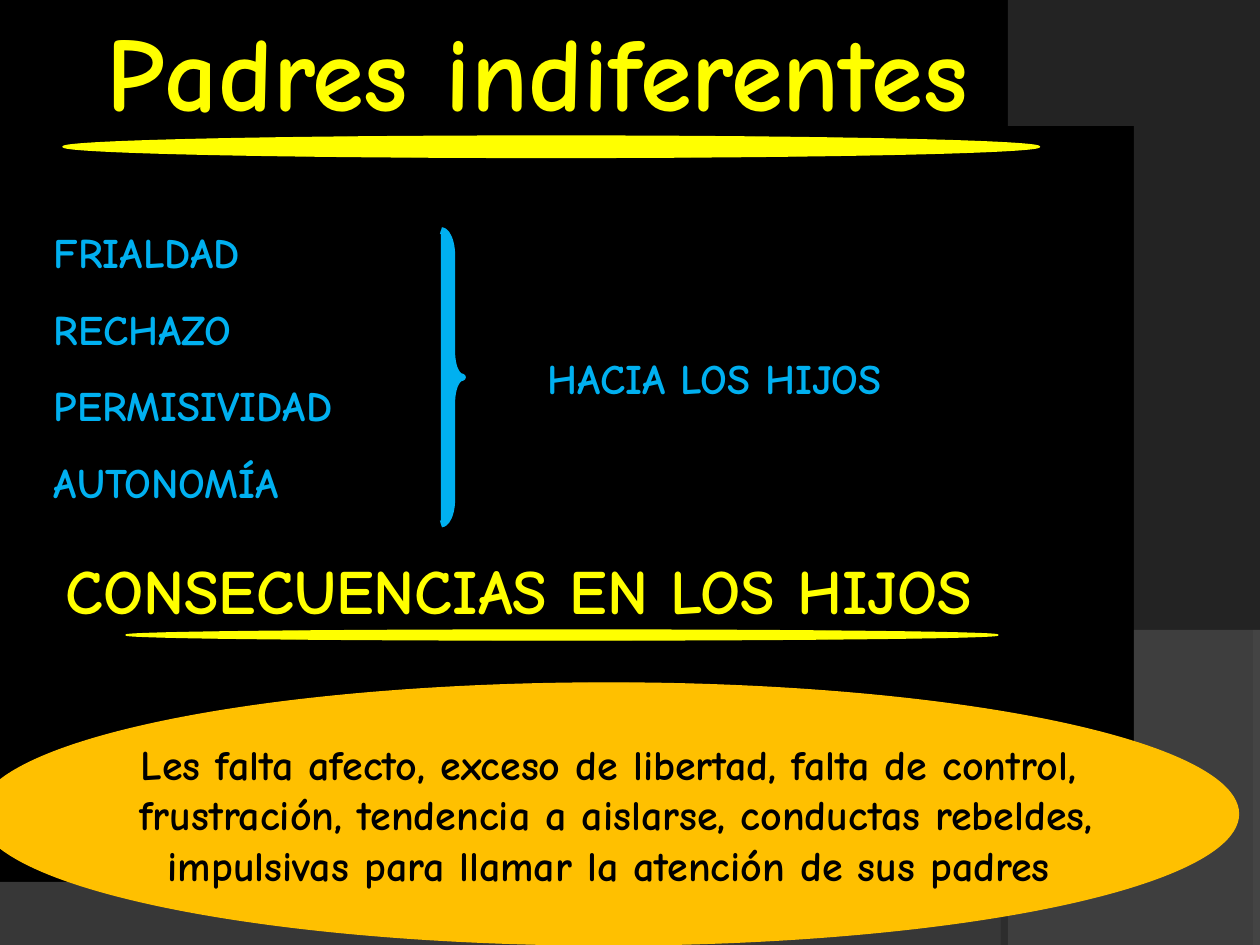
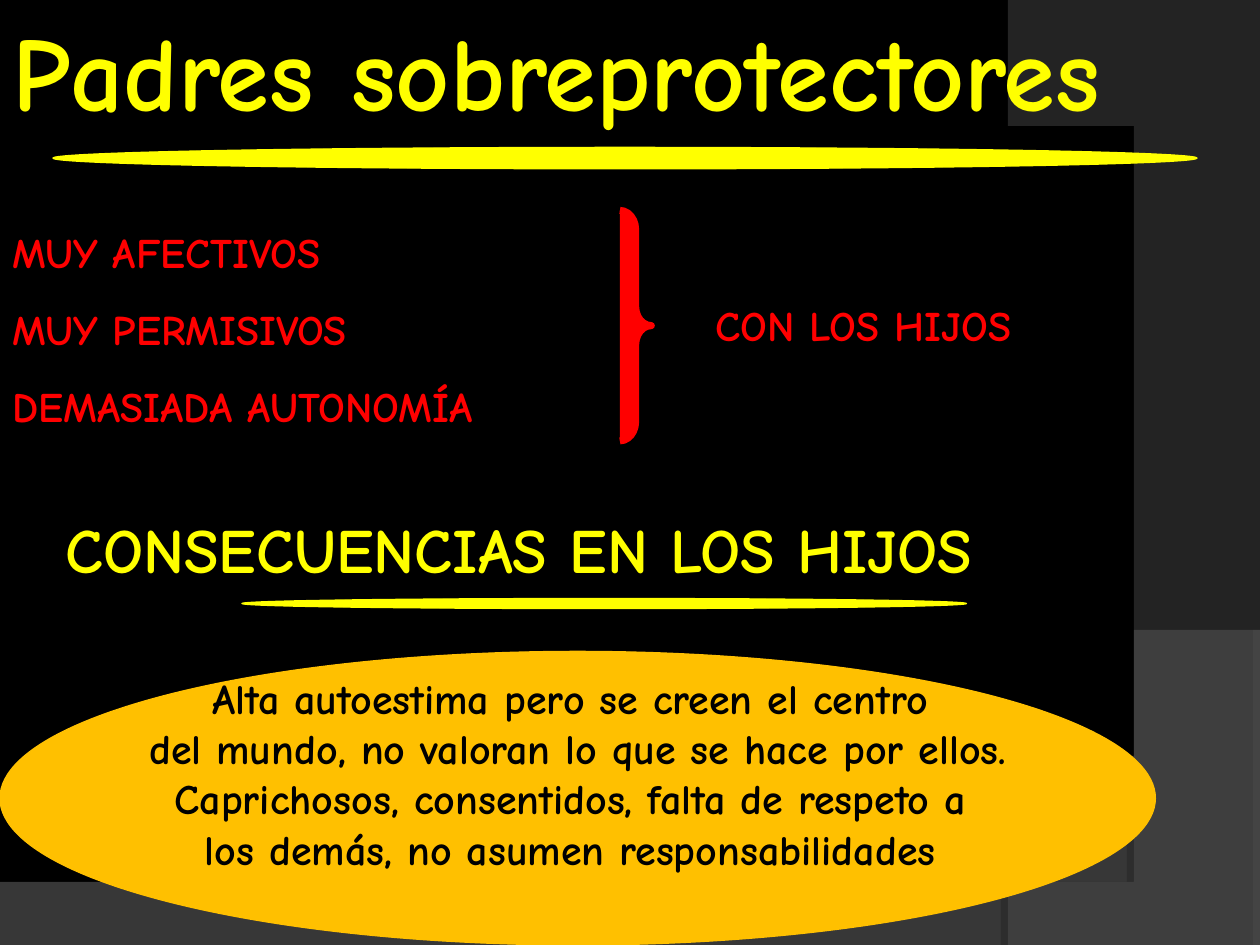
"""Builds two slides on indifferent and overprotective parents."""
from lxml import etree
from pptx import Presentation
from pptx.dml.color import RGBColor
from pptx.enum.shapes import MSO_SHAPE
from pptx.enum.text import MSO_ANCHOR, PP_ALIGN
from pptx.oxml import parse_xml
from pptx.oxml.ns import nsdecls, qn
from pptx.util import Inches, Pt

BLACK = RGBColor(0x00, 0x00, 0x00)
YELLOW = RGBColor(0xFF, 0xFF, 0x00)
AMBER = RGBColor(0xFF, 0xC0, 0x00)
BLUE = RGBColor(0x00, 0xB0, 0xF0)
RED = RGBColor(0xFF, 0x00, 0x00)
GREY = RGBColor(0x7C, 0x7C, 0x7C)
DARK_GREY = RGBColor(0x59, 0x59, 0x59)
FONT = "Comic Neue"
CURVE_STEPS = 60

TOPICS = [
    {
        "title": ("Padres indiferentes", (0.75, 0, 9, 1.1)),
        "title_rule": (0.5, 1.08, 7.75, 0.17),
        "traits": (["FRIALDAD", "RECHAZO", "PERMISIVIDAD", "AUTONOMÍA"], (0.33, 1.75, 8.42, 2.33)),
        "color": BLUE,
        "brace": (3.5, 1.83, 0.17, 2.33),
        "brace_curl": 1.17,
        "target": ("HACIA LOS HIJOS", (4.25, 2.75, 4.83, 0.5)),
        "heading_box": (0.42, 4.33, 9.58, 0.7),
        "heading_rule": (1, 5, 6.92, 0.08),
        "oval": (-0.17, 5.42, 10, 2.08),
        "oval_bottom_inset": 0.05,
        "consequences": [
            "Les falta afecto, exceso de libertad, falta de control,",
            " frustración, tendencia a aislarse, conductas rebeldes,",
            "impulsivas para llamar la atención de sus padres",
        ],
    },
    {
        "title": ("Padres sobreprotectores", (0, 0, 10, 1.1)),
        "title_rule": (0.42, 1.17, 9.08, 0.17),
        "traits": (["MUY AFECTIVOS", "MUY PERMISIVOS", "DEMASIADA AUTONOMÍA"], (0, 1.75, 5.67, 1.72)),
        "color": RED,
        "brace": (4.92, 1.67, 0.25, 1.83),
        "brace_curl": 0.61,
        "target": ("CON LOS HIJOS", (5.58, 2.33, 3.42, 0.5)),
        "heading_box": (0.42, 4, 9.58, 0.7),
        "heading_rule": (1.92, 4.75, 5.75, 0.08),
        "oval": (0, 5.17, 9.17, 2.33),
        "oval_bottom_inset": 0.45,
        "consequences": [
            "Alta autoestima pero se creen el centro ",
            "del mundo, no valoran lo que se hace por ellos.",
            "Caprichosos, consentidos, falta de respeto a ",
            "los demás, no asumen responsabilidades ",
        ],
    },
]

SWOOPS = [
    {
        "corners": [(0, 7.05), (0, 7.51), (10, 7.51), (10, 5.2)],
        "curve": [(10, 5.2), (5.59, 7.29), (3.91, 7.19), (0, 7.05)],
        "color": GREY, "opacity": 45,
        "shadow": {"opacity": 35, "distance": 3.5, "angle": 270},
    },
    {
        "corners": [(10, 0.02), (10, 7.5), (8.21, 7.5)],
        "curve": [(8.21, 7.5), (9.35, 6.19), (10.18, 3), (8, 0)],
        "color": DARK_GREY, "opacity": 40,
        "shadow": {"opacity": 45, "distance": 4, "angle": 180},
    },
]


def add_filled_shape(slide, preset, box, color, line_width=0.75):
    shape = slide.shapes.add_shape(preset, *map(Inches, box))
    shape.shadow.inherit = False
    shape.fill.solid()
    shape.fill.fore_color.rgb = color
    shape.line.color.rgb = color
    shape.line.width = Pt(line_width)
    return shape


def write_lines(text_frame, lines, size, color, space_before=0, alignment=PP_ALIGN.LEFT):
    for index, line in enumerate(lines):
        paragraph = text_frame.add_paragraph() if index else text_frame.paragraphs[0]
        paragraph.text = line
        paragraph.alignment = alignment
        if index:
            paragraph.space_before = Pt(space_before)
        paragraph.font.name = FONT
        paragraph.font.size = Pt(size)
        paragraph.font.bold = True
        paragraph.font.color.rgb = color


presentation = Presentation()
presentation.slide_width = Inches(10)
presentation.slide_height = Inches(7.5)
blank_layout = presentation.slide_layouts[6]
slides = [presentation.slides.add_slide(blank_layout) for topic in TOPICS]

master = presentation.slide_master
master.background.fill.solid()
master.background.fill.fore_color.rgb = BLACK
master_tree = master.element.cSld.spTree

for position, swoop in enumerate(SWOOPS):
    start, first_pull, second_pull, end = swoop["curve"]
    points = list(swoop["corners"])
    for step in range(1, CURVE_STEPS + 1):
        t = step / CURVE_STEPS
        points.append(tuple(
            (1 - t) ** 3 * a + 3 * (1 - t) ** 2 * t * b + 3 * (1 - t) * t ** 2 * c + t ** 3 * d
            for a, b, c, d in zip(start, first_pull, second_pull, end)
        ))
    builder = slides[0].shapes.build_freeform(*points[0], scale=Inches(1))
    builder.add_line_segments(points[1:], close=True)
    shape = builder.convert_to_shape()
    shape.fill.solid()
    shape.fill.fore_color.rgb = swoop["color"]
    shape.line.fill.background()
    color_element = shape.element.spPr.find(qn("a:solidFill"))[0]
    etree.SubElement(color_element, qn("a:alpha"), val=str(swoop["opacity"] * 1000))
    shadow = swoop["shadow"]
    shape.element.spPr.append(parse_xml(
        f'<a:effectLst {nsdecls("a")}><a:outerShdw blurRad="0" dist="{Pt(shadow["distance"])}" '
        f'dir="{shadow["angle"] * 60000}" algn="ctr" rotWithShape="0"><a:srgbClr val="{BLACK}">'
        f'<a:alpha val="{shadow["opacity"] * 1000}"/></a:srgbClr></a:outerShdw></a:effectLst>'
    ))
    master_tree.insert(2 + position, shape.element)

for slide, topic in zip(slides, TOPICS):
    title, title_box = topic["title"]
    traits, traits_box = topic["traits"]
    target, target_box = topic["target"]
    for lines, box, size, color in [
        ([title], title_box, 60, YELLOW),
        (traits, traits_box, 24, topic["color"]),
        ([target], target_box, 24, topic["color"]),
        (["CONSECUENCIAS EN LOS HIJOS"], topic["heading_box"], 36, YELLOW),
    ]:
        text_frame = slide.shapes.add_textbox(*map(Inches, box)).text_frame
        text_frame.word_wrap = True
        write_lines(text_frame, lines, size, color, space_before=15)

    brace = add_filled_shape(slide, MSO_SHAPE.RIGHT_BRACE, topic["brace"], topic["color"], line_width=4)
    brace.adjustments[0] = topic["brace_curl"]

    for rule in ("title_rule", "heading_rule"):
        add_filled_shape(slide, MSO_SHAPE.OVAL, topic[rule], YELLOW)

    oval = add_filled_shape(slide, MSO_SHAPE.OVAL, topic["oval"], AMBER)
    oval.text_frame.word_wrap = False
    oval.text_frame.vertical_anchor = MSO_ANCHOR.MIDDLE
    oval.text_frame.margin_bottom = Inches(topic["oval_bottom_inset"])
    write_lines(oval.text_frame, topic["consequences"], 24, BLACK, alignment=PP_ALIGN.CENTER)

presentation.save("out.pptx")
